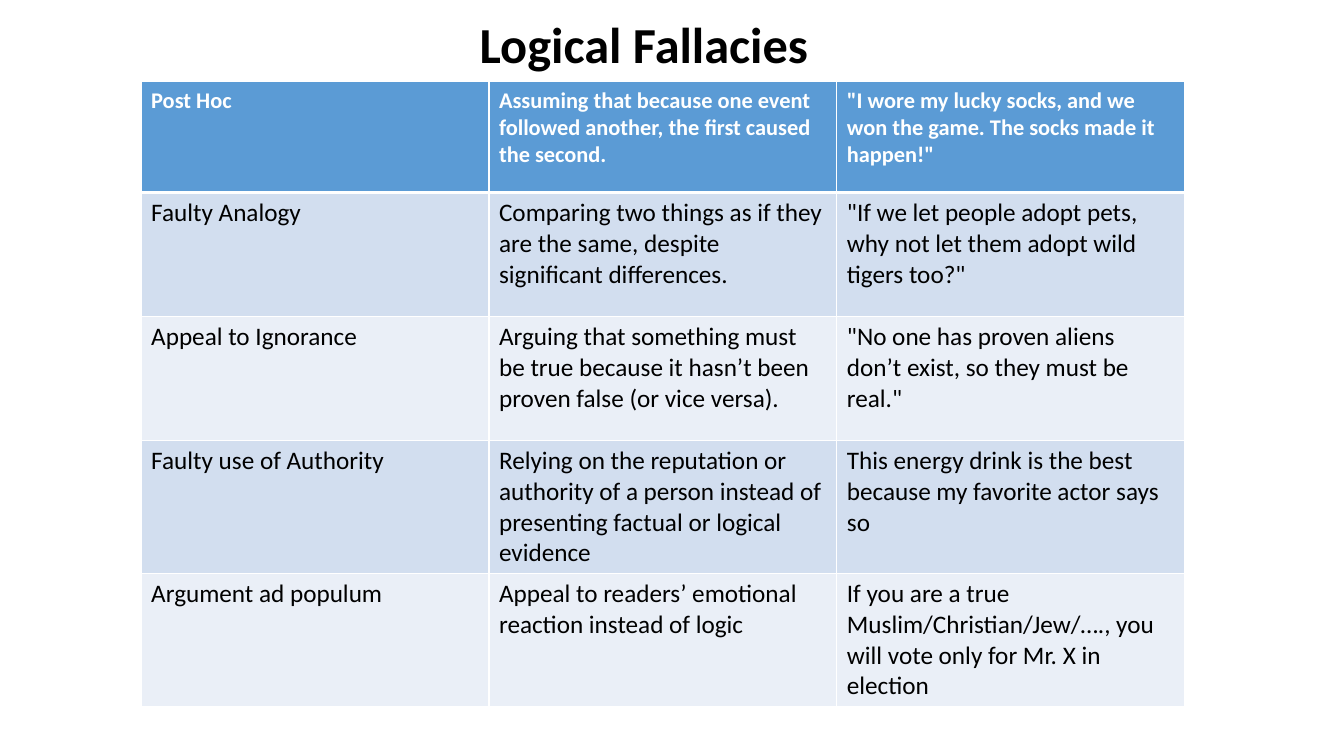
import pptx
import pptx.dml.color
import pptx.enum.text
import pptx.oxml
import pptx.oxml.ns
import pptx.util

EMU_PER_PX = 9144
FALLACIES = [
    ("Post Hoc",
     "Assuming that because one event followed another, the first caused the second.",
     '"I wore my lucky socks, and we won the game. The socks made it happen!"'),
    ("Faulty Analogy",
     "Comparing two things as if they are the same, despite significant differences.",
     '"If we let people adopt pets, why not let them adopt wild tigers too?"'),
    ("Appeal to Ignorance",
     "Arguing that something must be true because it hasn’t been proven false (or vice versa).",
     '"No one has proven aliens don’t exist, so they must be real."'),
    ("Faulty use of Authority",
     "Relying on the reputation or authority of a person instead of presenting factual or logical evidence",
     "This energy drink is the best because my favorite actor says so"),
    ("Argument ad populum",
     "Appeal to readers’ emotional reaction instead of logic",
     "If you are a true Muslim/Christian/Jew/…., you will vote only for Mr. X in election"),
]


def px(n):
    return pptx.util.Emu(n * EMU_PER_PX)


def rgb(value):
    return pptx.dml.color.RGBColor.from_string(value)


class Deck:
    """Holds the slide style and the slide being built."""

    font = "Calibri"
    ink, paper = "000000", "FFFFFF"
    header, bands = "5B9BD5", ("D2DEEF", "EAEFF7")

    def __init__(self, width, height):
        self.prs = pptx.Presentation()
        self.prs.slide_width, self.prs.slide_height = px(width), px(height)
        self.s = self.prs.slides.add_slide(self.prs.slide_layouts[6])

    def add_text(self, tf, text, size, color, bold):
        p = tf.paragraphs[0]
        r = p.add_run()
        r.text = text
        r.font.name, r.font.size, r.font.bold = self.font, pptx.util.Pt(size), bold
        r.font.color.rgb = rgb(color)
        return p

    def title(self, text, x, y, w, h):
        sp = self.s.shapes.add_textbox(px(x), px(y), px(w), px(h))
        tf = sp.text_frame
        tf.word_wrap = True
        tf.vertical_anchor = pptx.enum.text.MSO_ANCHOR.MIDDLE
        self.add_text(tf, text, 36, self.ink, True).line_spacing = 0.9

    def borders(self, cell, **widths):
        tc_pr = cell._tc.get_or_add_tcPr()
        for i, (side, points) in enumerate(widths.items()):
            tc_pr.insert(i, pptx.oxml.parse_xml(
                f'<a:ln{side} {pptx.oxml.ns.nsdecls("a")} w="{pptx.util.Pt(points)}">'
                f'<a:solidFill><a:srgbClr val="{self.paper}"/></a:solidFill></a:ln{side}>'))

    def table(self, rows, x, y, col_width, row_heights):
        n_cols = len(rows[0])
        frame = self.s.shapes.add_table(len(rows), n_cols, px(x), px(y),
                                        px(col_width * n_cols), px(sum(row_heights)))
        table = frame.table
        for column in table.columns:
            column.width = px(col_width)
        for i, (texts, height) in enumerate(zip(rows, row_heights)):
            table.rows[i].height = px(height)
            is_header = i == 0
            fill = self.header if is_header else self.bands[(i - 1) % 2]
            size, color = (16, self.paper) if is_header else (18, self.ink)
            for j, text in enumerate(texts):
                cell = table.cell(i, j)
                cell.fill.solid()
                cell.fill.fore_color.rgb = rgb(fill)
                self.borders(cell, L=1, R=1, T=3 if i == 1 else 1, B=3 if is_header else 1)
                self.add_text(cell.text_frame, text, size, color, is_header)


def main():
    deck = Deck(1333, 750)
    deck.table(FALLACIES, 140, 81, 345, [110, 123, 123, 125, 123])
    deck.title("Logical Fallacies", 466, 11, 436, 71)
    deck.prs.save("out.pptx")


if __name__ == "__main__":
    main()
